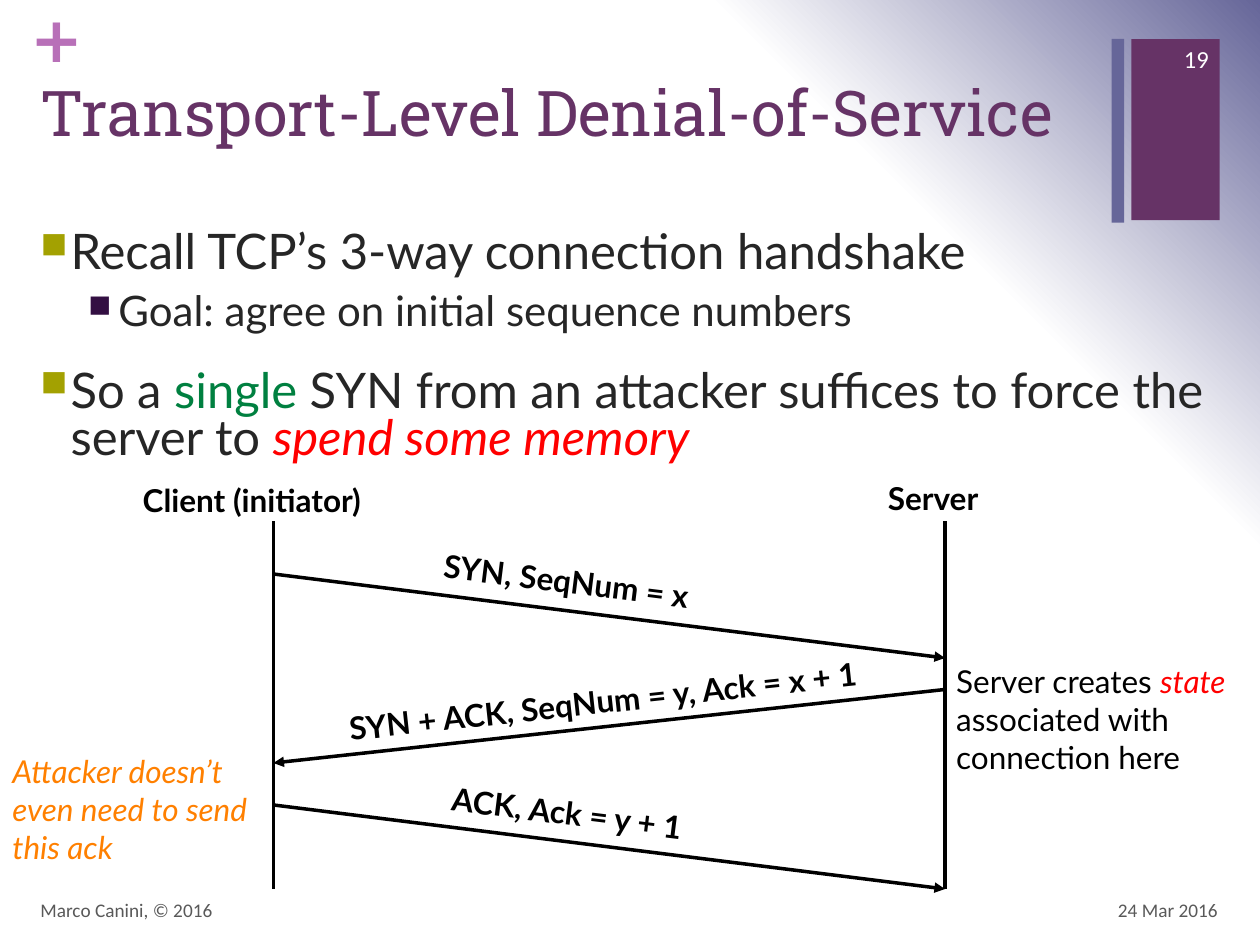
import math
from dataclasses import dataclass
from typing import Optional

import lxml.etree
import pptx
import pptx.dml.color
import pptx.enum.shapes
import pptx.enum.text
import pptx.oxml
import pptx.oxml.ns
import pptx.util

Pt = pptx.util.Pt
Align = pptx.enum.text.PP_ALIGN
Anchor = pptx.enum.text.MSO_ANCHOR
AutoSize = pptx.enum.text.MSO_AUTO_SIZE
qn = pptx.oxml.ns.qn


@dataclass(frozen=True)
class Theme:
    heading_font: str = "Roboto Slab"
    body_font: str = "Lato"
    footer_font: str = "Calibri"
    symbol_font: str = "DejaVu Sans"
    purple: str = "663366"
    slate: str = "666699"
    orchid: str = "B870B8"
    olive: str = "A3A101"
    plum: str = "330F42"
    ink: str = "262626"
    black: str = "000000"
    white: str = "FFFFFF"
    grey: str = "595959"
    green: str = "008040"
    red: str = "FF0000"
    orange: str = "FF8000"
    title_size: float = 36
    point_size: float = 28
    subpoint_size: float = 24
    label_size: float = 18
    number_size: float = 14
    footer_size: float = 11
    line_width: float = 2


THEME = Theme()


@dataclass(frozen=True)
class Run:
    text: str
    size: float = THEME.label_size
    color: str = THEME.black
    font: str = THEME.body_font
    bold: bool = False
    italic: bool = False


@dataclass(frozen=True)
class Box:
    left: float
    top: float
    width: float
    height: float

    def lengths(self) -> tuple:
        return Pt(self.left), Pt(self.top), Pt(self.width), Pt(self.height)


@dataclass(frozen=True)
class Bullet:
    runs: tuple
    color: str
    level: int = 0
    indent: float = 17.28
    spacing: float = 0.9
    before: float = 0


@dataclass(frozen=True)
class Message:
    text: str
    start_x: float
    start_y: float
    end_x: float
    end_y: float
    label: Box


def rgb(value: str) -> pptx.dml.color.RGBColor:
    return pptx.dml.color.RGBColor.from_string(value)


def add_runs(paragraph, runs: tuple) -> None:
    for part in runs:
        run = paragraph.add_run()
        run.text = part.text
        run.font.name = part.font
        run.font.size = Pt(part.size)
        run.font.bold = part.bold
        run.font.italic = part.italic
        run.font.color.rgb = rgb(part.color)


def add_text(slide, box: Box, runs: tuple, align=Align.LEFT, anchor=Anchor.TOP,
             wrap: bool = True, inset: Optional[float] = None, rotation: float = 0) -> None:
    text_box = slide.shapes.add_textbox(*box.lengths())
    text_box.rotation = rotation
    frame = text_box.text_frame
    frame.word_wrap = wrap
    frame.vertical_anchor = anchor
    if inset is not None:
        frame.margin_left = frame.margin_right = Pt(inset)
        frame.margin_top = frame.margin_bottom = Pt(inset)
    frame.paragraphs[0].alignment = align
    add_runs(frame.paragraphs[0], runs)


def add_block(slide, box: Box, color: str) -> None:
    block = slide.shapes.add_shape(pptx.enum.shapes.MSO_SHAPE.RECTANGLE, *box.lengths())
    block.shadow.inherit = False
    block.fill.solid()
    block.fill.fore_color.rgb = rgb(color)
    block.line.fill.background()


def add_line(slide, start_x: float, start_y: float, end_x: float, end_y: float,
             arrow: bool = False) -> None:
    line = slide.shapes.add_connector(
        pptx.enum.shapes.MSO_CONNECTOR.STRAIGHT,
        Pt(start_x), Pt(start_y), Pt(end_x), Pt(end_y))
    line.line.color.rgb = rgb(THEME.black)
    line.line.width = Pt(THEME.line_width)
    properties = line.element.spPr
    if arrow:
        lxml.etree.SubElement(properties.find(qn("a:ln")), qn("a:tailEnd"), type="triangle")
    lxml.etree.SubElement(properties, qn("a:effectLst"))


def add_message(slide, message: Message) -> None:
    add_line(slide, message.start_x, message.start_y, message.end_x, message.end_y, arrow=True)
    slope = (message.end_y - message.start_y) / (message.end_x - message.start_x)
    add_text(slide, message.label, (Run(message.text, bold=True),), Align.CENTER,
             wrap=False, rotation=math.degrees(math.atan(slope)))


def add_bullets(slide, box: Box, bullets: tuple) -> None:
    frame = slide.shapes.add_textbox(*box.lengths()).text_frame
    frame.word_wrap = True
    for index, bullet in enumerate(bullets):
        paragraph = frame.add_paragraph() if index else frame.paragraphs[0]
        paragraph.level = bullet.level
        paragraph.line_spacing = bullet.spacing
        paragraph.space_before = Pt(bullet.before)
        properties = paragraph._p.get_or_add_pPr()
        properties.set("marL", str(Pt(bullet.indent)))
        properties.set("indent", str(Pt(-17.28)))
        color = lxml.etree.SubElement(properties, qn("a:buClr"))
        lxml.etree.SubElement(color, qn("a:srgbClr"), val=bullet.color)
        lxml.etree.SubElement(properties, qn("a:buSzPct"), val="75000")
        lxml.etree.SubElement(properties, qn("a:buChar"), char="■")
        add_runs(paragraph, bullet.runs)


def set_background(slide) -> None:
    slide.background.fill.solid()
    properties = slide.element.find(".//" + qn("p:bgPr"))
    stops = "".join(
        f'<a:gs pos="{position * 1000}"><a:srgbClr val="{color}"/></a:gs>'
        for position, color in ((0, THEME.white), (75, THEME.white), (100, THEME.slate)))
    properties.replace(properties[0], pptx.oxml.parse_xml(
        f'<a:gradFill {pptx.oxml.ns.nsdecls("a")} rotWithShape="1"><a:gsLst>{stops}</a:gsLst>'
        '<a:path path="circle"><a:fillToRect t="100000" r="100000"/></a:path></a:gradFill>'))


def set_title(slide, box: Box, run: Run) -> None:
    title = slide.shapes.title
    title.left, title.top, title.width, title.height = box.lengths()
    frame = title.text_frame
    frame.auto_size = AutoSize.NONE
    frame.word_wrap = True
    frame.vertical_anchor = Anchor.TOP
    frame.paragraphs[0].alignment = Align.LEFT
    add_runs(frame.paragraphs[0], (run,))


def main() -> None:
    deck = pptx.Presentation()
    deck.slide_width, deck.slide_height = Pt(720), Pt(540)
    slide = deck.slides.add_slide(deck.slide_layouts[5])
    set_background(slide)
    add_block(slide, Box(646.5, 22.3, 50.5, 103.5), THEME.purple)
    add_text(slide, Box(17.3, 0, 21, 44),
             (Run("+", 36, THEME.orchid, THEME.symbol_font, bold=True),), wrap=False, inset=0)
    add_block(slide, Box(635.2, 22.3, 7.2, 105), THEME.slate)
    set_title(slide, Box(16, 38.2, 618.5, 87.8),
              Run("Transport-Level Denial-of-Service", THEME.title_size,
                  THEME.purple, THEME.heading_font))

    size, ink = THEME.point_size, THEME.ink
    add_bullets(slide, Box(16, 126, 687, 379.5), (
        Bullet((Run("Recall TCP’s 3-way connection handshake", size, ink),), THEME.olive),
        Bullet((Run("Goal: agree on initial sequence numbers", THEME.subpoint_size, ink),),
               THEME.plum, level=1, indent=44.64, before=6),
        Bullet((Run("So a ", size, ink), Run("single", size, THEME.green),
                Run(" SYN from an attacker suffices to force the server to ", size, ink),
                Run("spend some memory", size, THEME.red, italic=True)),
               THEME.olive, spacing=0.8, before=20)))

    client_x, server_x, top, bottom = 156.25, 540, 298, 508
    for x in (client_x, server_x):
        add_line(slide, x, top, x, bottom)
    for name, box in (("Client (initiator)", Box(62.6, 271.5, 162.7, 29)),
                      ("Server", Box(496.1, 270.2, 74.2, 29))):
        add_text(slide, box, (Run(name, bold=True),), Align.CENTER, wrap=False)
    for message in (
            Message("SYN, SeqNum = x", client_x, 328, server_x, 376,
                    Box(235.4, 317.5, 176.4, 29)),
            Message("SYN + ACK, SeqNum = y, Ack = x + 1", server_x, 394, client_x, 436,
                    Box(166.3, 386, 356.4, 29)),
            Message("ACK, Ack = y + 1", client_x, 460, server_x, bottom,
                    Box(239.8, 450, 168.5, 29))):
        add_message(slide, message)

    add_text(slide, Box(539.3, 374.4, 180.7, 72.7),
             (Run("Server creates "), Run("state", color=THEME.red, italic=True),
              Run(" associated with connection here")), anchor=Anchor.MIDDLE)
    add_text(slide, Box(0, 426.2, 149.8, 72),
             (Run("Attacker doesn’t even need to send this ack",
                  color=THEME.orange, italic=True),))
    for text, box, align, text_size, color in (
            ("24 Mar 2016", Box(535, 505.5, 168, 29), Align.RIGHT, THEME.footer_size, THEME.grey),
            ("Marco Canini, © 2016", Box(16, 505.5, 482, 29), Align.LEFT,
             THEME.footer_size, THEME.grey),
            ("19", Box(653.8, 18.9, 44, 29), Align.RIGHT, THEME.number_size, THEME.white)):
        add_text(slide, box, (Run(text, text_size, color, THEME.footer_font),),
                 align, Anchor.MIDDLE)
    deck.save("out.pptx")


if __name__ == "__main__":
    main()
